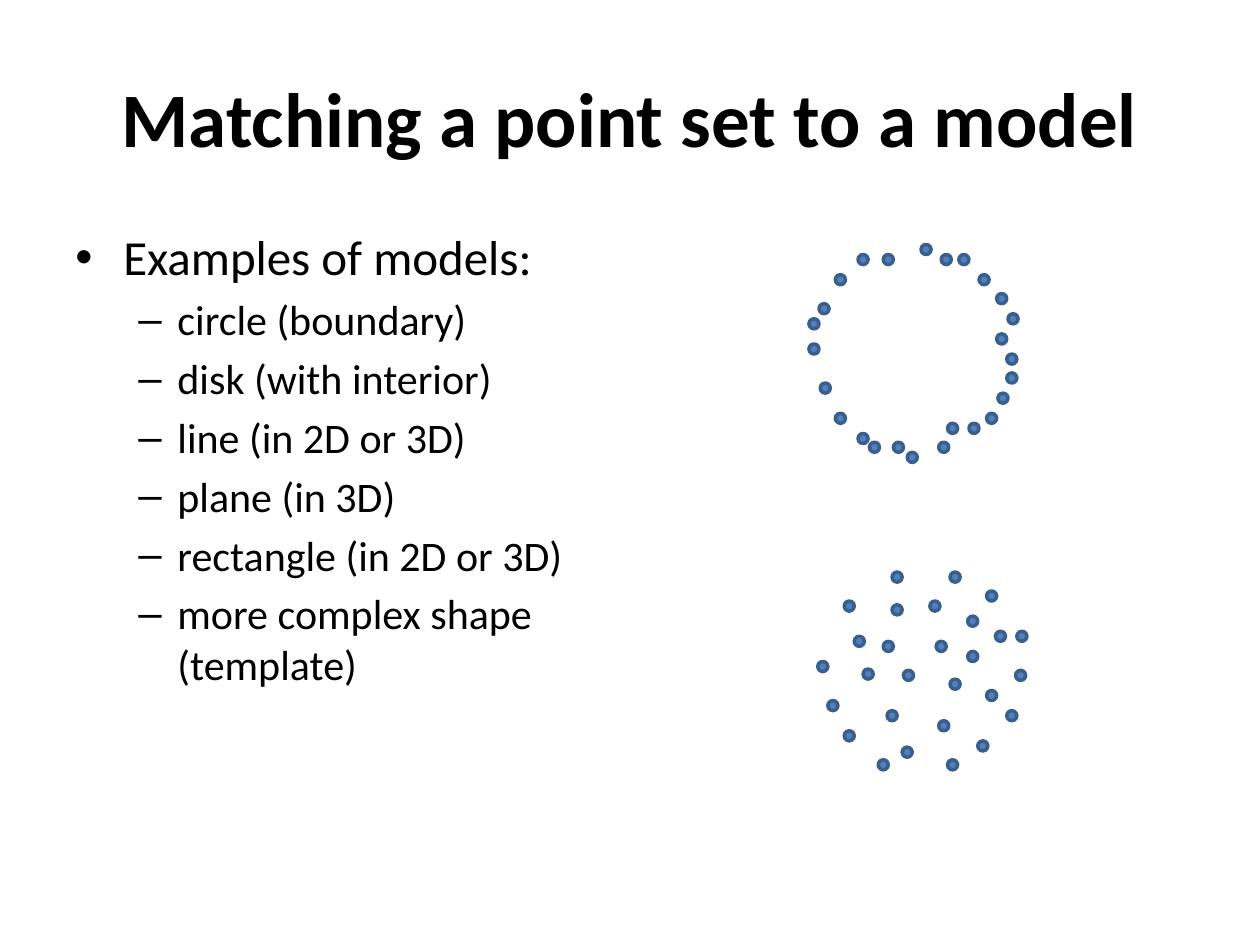
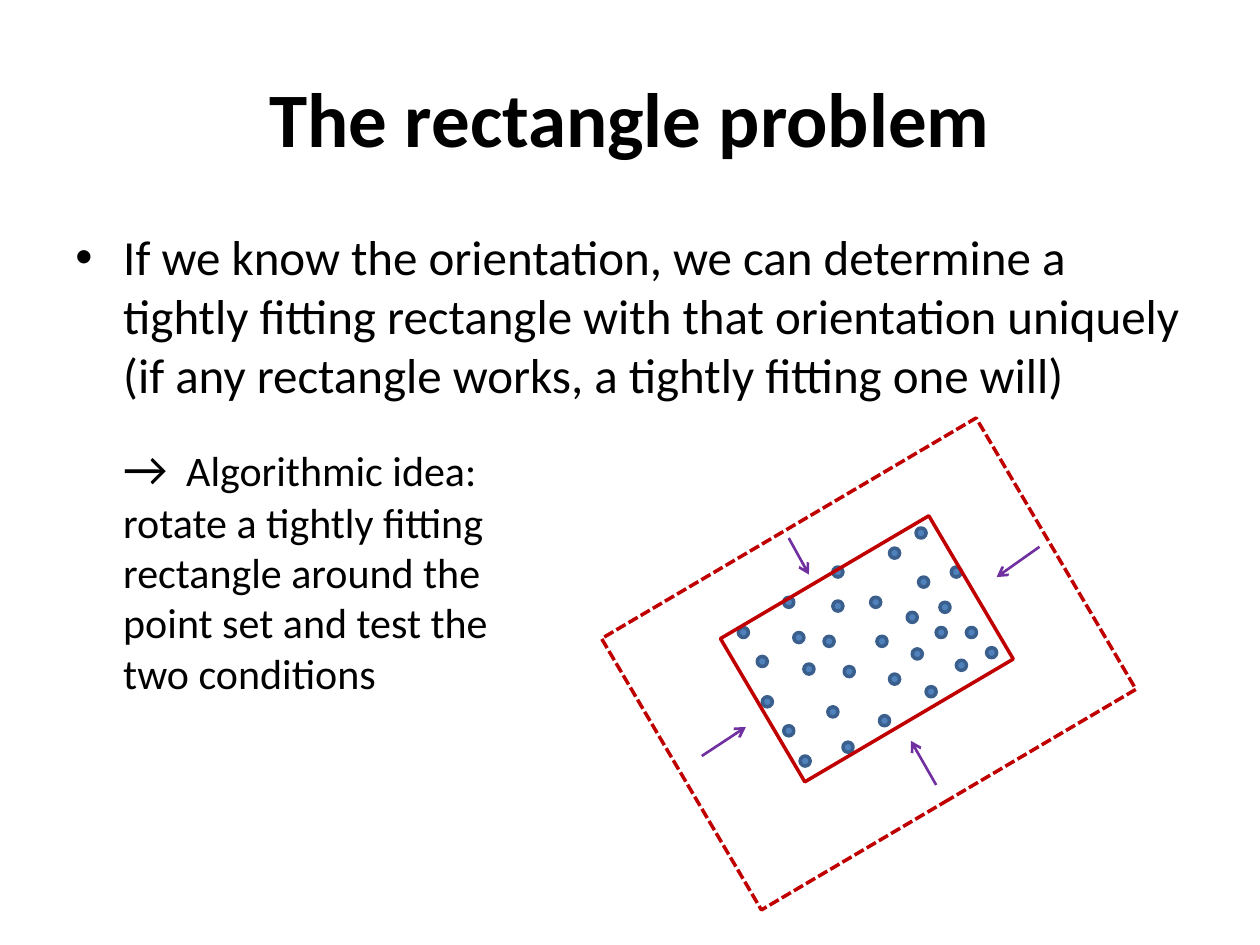
from dataclasses import dataclass
from lxml.etree import SubElement
from pptx import Presentation
from pptx.dml.color import RGBColor
from pptx.enum.dml import MSO_LINE
from pptx.enum.shapes import MSO_CONNECTOR, MSO_SHAPE
from pptx.enum.text import MSO_ANCHOR, PP_ALIGN
from pptx.oxml.ns import qn
from pptx.util import Inches, Pt


@dataclass(frozen=True)
class Theme:
    font: str = "Calibri"
    text: RGBColor = RGBColor(0x00, 0x00, 0x00)
    dot_fill: RGBColor = RGBColor(0x4F, 0x81, 0xBD)
    dot_line: RGBColor = RGBColor(0x3A, 0x5F, 0x8C)
    rectangle: RGBColor = RGBColor(0xC0, 0x00, 0x00)
    arrow: RGBColor = RGBColor(0x70, 0x30, 0xA0)
    title_size: int = 44
    bullet_size: int = 28
    detail_size: int = 24
    outline_width: float = 2
    arrow_width: float = 1.5


@dataclass(frozen=True)
class Box:
    left: float
    top: float
    width: float
    height: float


THEME = Theme()
SLIDE_WIDTH, SLIDE_HEIGHT = Inches(10), Inches(7.5)
CELL = SLIDE_WIDTH // 1000
DOT_CELLS = 8
BULLET_INDENT = 0.38
DETAIL_INDENT, DETAIL_HANG = 0.81, 0.31
IDEA_TAB = 0.53
IDEA_GAP = 19.5
TILT = 329.5

TITLE_BOX = Box(50, 30, 900, 125)
MODELS_BOX = Box(50, 175, 442, 389)
STATEMENT_BOX = Box(50, 175, 900, 452)
CIRCLE_BOX = Box(642, 194, 166, 173)
DISK_BOX = Box(649, 454, 166, 157)
FITTING_BOX = Box(479, 332, 421, 390)

MODELS = [
    "circle (boundary)",
    "disk (with interior)",
    "line (in 2D or 3D)",
    "plane (in 3D)",
    "rectangle (in 2D or 3D)",
    "more complex shape (template)",
]
STATEMENT = (
    "If we know the orientation, we can determine a tightly fitting rectangle "
    "with that orientation uniquely (if any rectangle works, a tightly fitting one will)"
)
IDEA = (
    "Algorithmic idea:\vrotate a tightly fitting\vrectangle around the"
    "\vpoint set and test the\vtwo conditions"
)

CIRCLE_POINTS = [
    (21, 24), (105, 8), (59, 8), (0, 79), (9, 110), (0, 59), (21, 134), (48, 157), (39, 150),
    (89, 0), (135, 24), (8, 47), (39, 8), (110, 142), (67, 157), (149, 39), (119, 8), (103, 157),
    (157, 102), (141, 134), (127, 142), (149, 71), (157, 87), (158, 55), (78, 165), (150, 118),
]
DISK_POINTS = [
    (21, 23), (105, 0), (59, 0), (0, 71), (8, 102), (29, 51), (21, 126), (48, 149), (36, 77),
    (52, 55), (89, 23), (134, 15), (68, 78), (55, 110), (59, 26), (96, 118), (67, 139), (105, 85),
    (119, 35), (103, 149), (134, 94), (119, 63), (127, 134), (141, 47), (157, 78), (158, 47),
    (94, 55), (150, 110),
]
RECTANGLE_POINTS = [
    (0, 79), (36, 55), (120, 16), (75, 31), (15, 102), (19, 134), (44, 83), (36, 157), (49, 181),
    (52, 108), (68, 86), (105, 55), (141, 0), (143, 39), (84, 110), (71, 142), (75, 58), (112, 149),
    (83, 170), (120, 116), (134, 67), (138, 96), (149, 126), (169, 31), (160, 59), (157, 79),
    (173, 105), (181, 79), (110, 86), (197, 95),
]
INWARD_ARROWS = [
    ((147, 95), (163, 124)),
    ((264, 291), (244, 256)),
    ((78, 268), (113, 245)),
    ((346, 102), (312, 126)),
]


def cells(*counts):
    return [round(count * CELL) for count in counts]


def add_text_frame(slide, box):
    shape = slide.shapes.add_textbox(*cells(box.left, box.top, box.width, box.height))
    shape.text_frame.word_wrap = True
    return shape.text_frame


def format_run(run, size, bold=False):
    run.font.name = THEME.font
    run.font.size = Pt(size)
    run.font.bold = bold
    run.font.color.rgb = THEME.text


def indent_paragraph(paragraph, margin, hang=0, bullet=None):
    properties = paragraph._p.get_or_add_pPr()
    properties.set("marL", str(Inches(margin)))
    properties.set("indent", str(-Inches(hang)))
    if bullet:
        SubElement(properties, qn("a:buFont"), typeface="Arial")
        SubElement(properties, qn("a:buChar"), char=bullet)
    else:
        SubElement(properties, qn("a:buNone"))
    return properties


def write_bullet(paragraph, text):
    paragraph.text = text
    indent_paragraph(paragraph, BULLET_INDENT, BULLET_INDENT, "•")
    format_run(paragraph.runs[0], THEME.bullet_size)


def add_title(slide, box, text):
    text_frame = add_text_frame(slide, box)
    text_frame.vertical_anchor = MSO_ANCHOR.MIDDLE
    text_frame.text = text
    paragraph = text_frame.paragraphs[0]
    paragraph.alignment = PP_ALIGN.CENTER
    format_run(paragraph.runs[0], THEME.title_size, bold=True)


def add_model_list(slide, box):
    text_frame = add_text_frame(slide, box)
    write_bullet(text_frame.paragraphs[0], "Examples of models:")
    for model in MODELS:
        paragraph = text_frame.add_paragraph()
        paragraph.text = model
        indent_paragraph(paragraph, DETAIL_INDENT, DETAIL_HANG, "–")
        paragraph.space_before = Pt(0.2 * THEME.detail_size)
        format_run(paragraph.runs[0], THEME.detail_size)


def add_statement(slide, box):
    text_frame = add_text_frame(slide, box)
    write_bullet(text_frame.paragraphs[0], STATEMENT)
    paragraph = text_frame.add_paragraph()
    paragraph.text = "→\t" + IDEA
    properties = indent_paragraph(paragraph, BULLET_INDENT)
    tab_list = SubElement(properties, qn("a:tabLst"))
    SubElement(tab_list, qn("a:tab"), pos=str(Inches(BULLET_INDENT + IDEA_TAB)), algn="l")
    paragraph.space_before = Pt(IDEA_GAP)
    for run in paragraph.runs:
        format_run(run, THEME.detail_size)
    first_run = paragraph.runs[0]
    first_run.text = first_run.text.removeprefix("→")
    arrow_run = paragraph.add_run()
    arrow_run.text = "→"
    format_run(arrow_run, THEME.bullet_size)
    first_run._r.addprevious(arrow_run._r)


def add_point_set(slide, box, points):
    for column, row in points:
        position = cells(box.left + column, box.top + row, DOT_CELLS, DOT_CELLS)
        dot = slide.shapes.add_shape(MSO_SHAPE.OVAL, *position)
        dot.shadow.inherit = False
        dot.fill.solid()
        dot.fill.fore_color.rgb = THEME.dot_fill
        dot.line.color.rgb = THEME.dot_line
        dot.line.width = Pt(THEME.outline_width)


def add_tilted_rectangle(slide, center, width, height, dash=None):
    left, top = center[0] - width / 2, center[1] - height / 2
    rectangle = slide.shapes.add_shape(MSO_SHAPE.RECTANGLE, *cells(left, top, width, height))
    rectangle.rotation = TILT
    rectangle.shadow.inherit = False
    rectangle.fill.background()
    rectangle.line.color.rgb = THEME.rectangle
    rectangle.line.width = Pt(THEME.outline_width)
    rectangle.line.dash_style = dash


def add_arrow(slide, box, start, end):
    ends = [(box.left + column, box.top + row) for column, row in (start, end)]
    arrow = slide.shapes.add_connector(MSO_CONNECTOR.STRAIGHT, *cells(*ends[0], *ends[1]))
    arrow.line.color.rgb = THEME.arrow
    arrow.line.width = Pt(THEME.arrow_width)
    SubElement(arrow.line._get_or_add_ln(), qn("a:tailEnd"), type="arrow")
    SubElement(arrow._element.spPr, qn("a:effectLst"))


def add_fitting_figure(slide, box):
    center = (box.left + box.width / 2, box.top + box.height / 2)
    cloud_box = Box(box.left + 107, box.top + 87, 205, 189)
    add_point_set(slide, cloud_box, RECTANGLE_POINTS)
    add_tilted_rectangle(slide, (center[0] - 1.5, center[1] - 12), 192, 132)
    add_tilted_rectangle(slide, center, 345, 250, MSO_LINE.SQUARE_DOT)
    for start, end in INWARD_ARROWS:
        add_arrow(slide, box, start, end)


def add_titled_slide(presentation, title):
    slide = presentation.slides.add_slide(presentation.slide_layouts[6])
    add_title(slide, TITLE_BOX, title)
    return slide


def build_models_slide(presentation):
    slide = add_titled_slide(presentation, "Matching a point set to a model")
    add_model_list(slide, MODELS_BOX)
    add_point_set(slide, DISK_BOX, DISK_POINTS)
    add_point_set(slide, CIRCLE_BOX, CIRCLE_POINTS)


def build_rectangle_slide(presentation):
    slide = add_titled_slide(presentation, "The rectangle problem")
    add_statement(slide, STATEMENT_BOX)
    add_fitting_figure(slide, FITTING_BOX)


def main():
    presentation = Presentation()
    presentation.slide_width, presentation.slide_height = SLIDE_WIDTH, SLIDE_HEIGHT
    build_models_slide(presentation)
    build_rectangle_slide(presentation)
    presentation.save("out.pptx")


if __name__ == "__main__":
    main()
